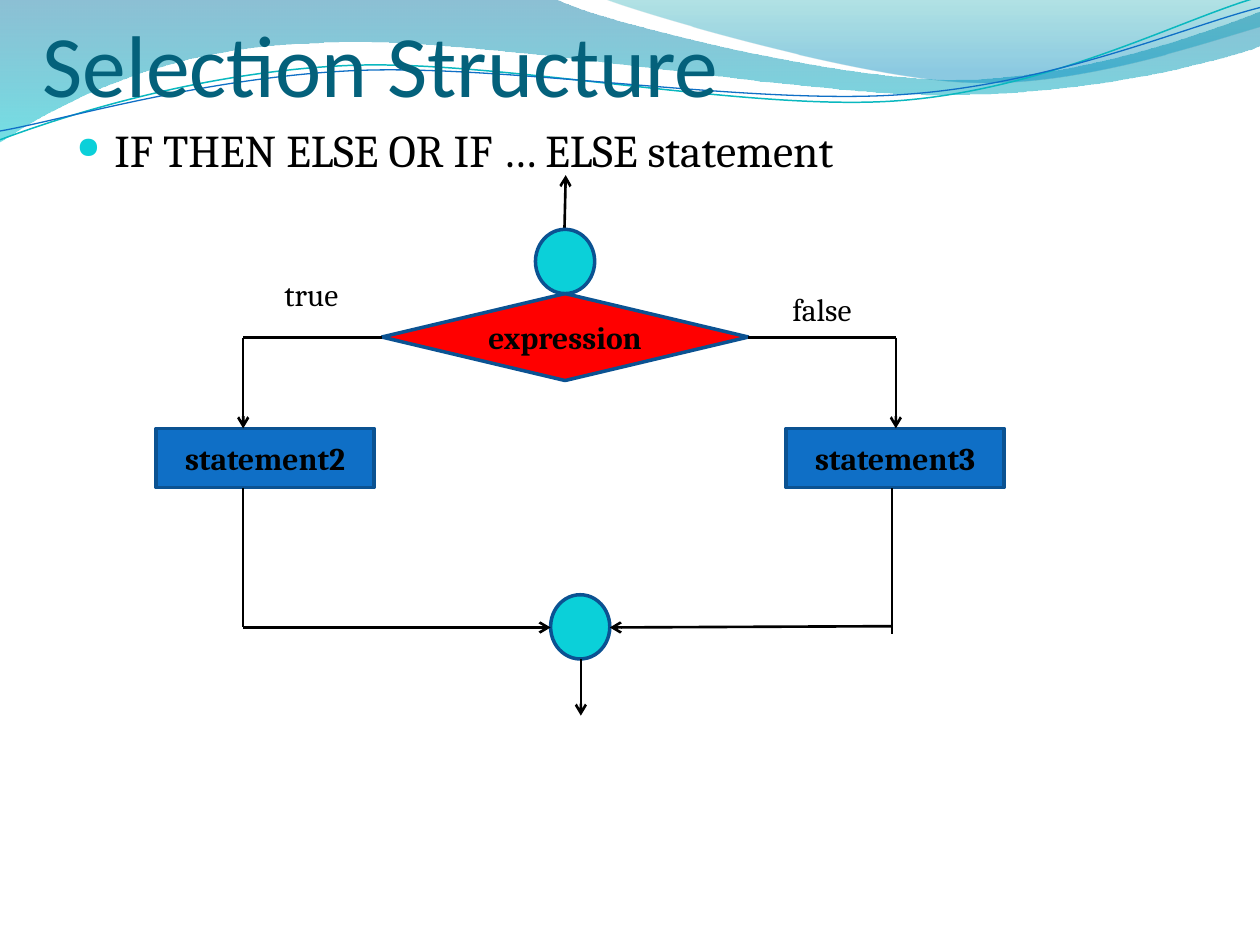
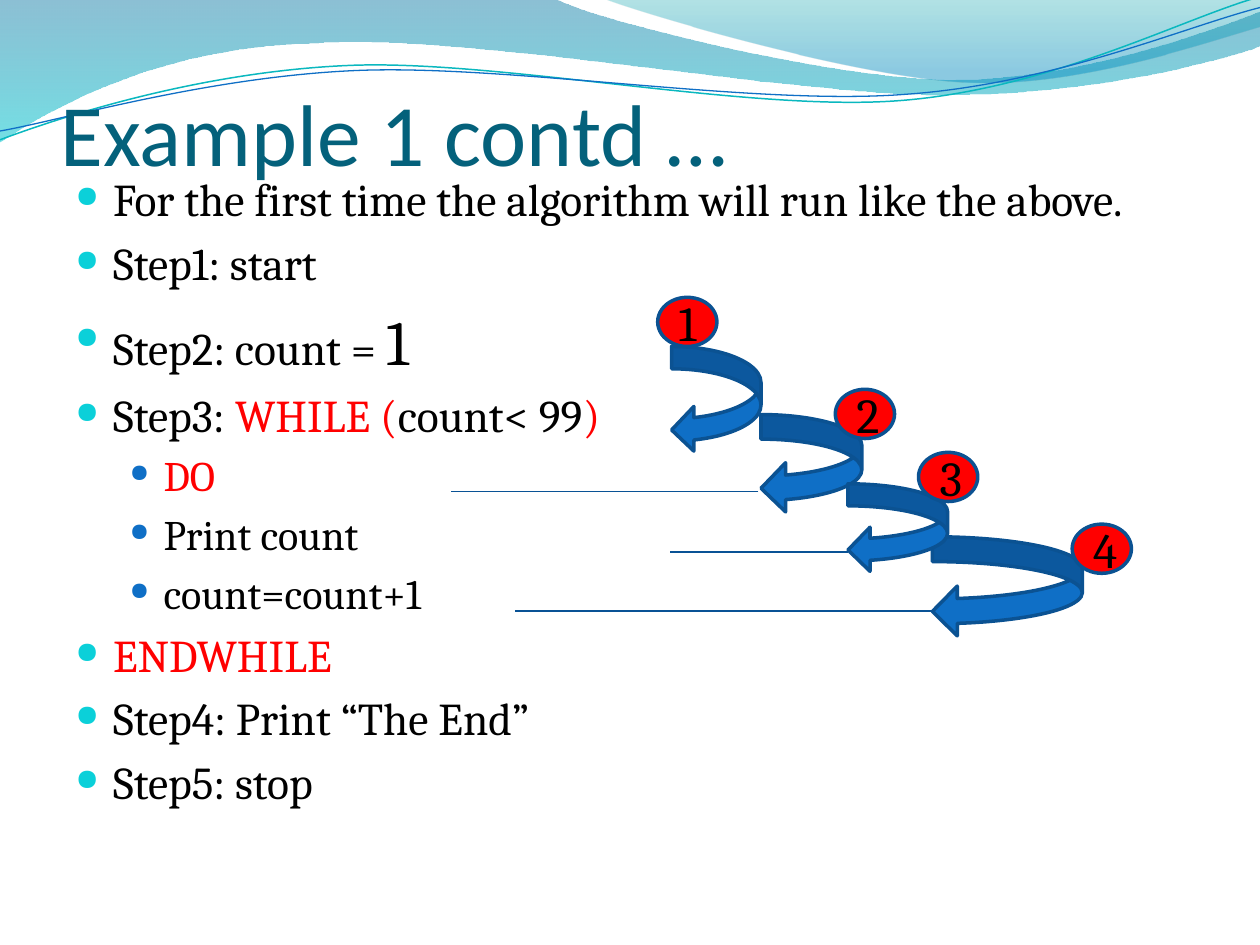
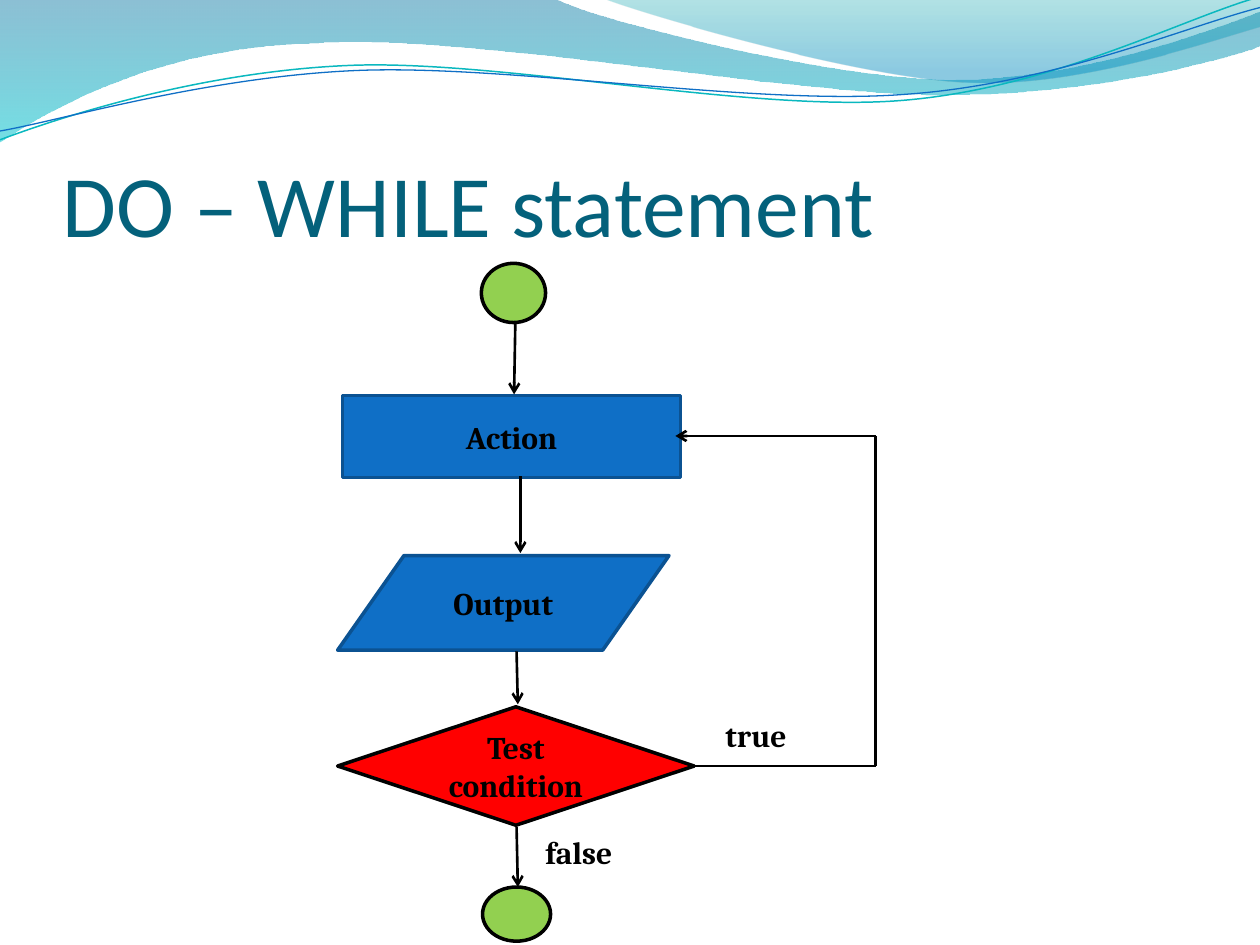
from dataclasses import dataclass

from lxml import etree
from pptx import Presentation
from pptx import util as u
from pptx.dml.color import RGBColor
from pptx.enum import shapes, text
from pptx.oxml.ns import qn

S = shapes.MSO_SHAPE
MIDDLE, BOTTOM = text.MSO_ANCHOR.MIDDLE, text.MSO_ANCHOR.BOTTOM


@dataclass(frozen=True)
class Theme:
    title_font: str = "Calibri"
    body_font: str = "Cambria"
    title: str = "04617B"
    ink: str = "000000"
    blue: str = "0F6FC6"
    edge: str = "0B5292"
    rule: str = "095295"
    cyan: str = "0BD0D9"
    red: str = "FF0000"
    green: str = "92D050"
    wave: str = "0AB8BF"
    title_size: int = 50
    body_size: int = 26
    sub_size: int = 24
    big_size: int = 36
    badge_size: int = 28
    label_size: int = 18
    shape_line: float = 2
    arrow_line: float = 1.5
    thin_line: float = 0.75


T = Theme()

# Each outline: start point, then line (2 numbers) or curve (6 numbers) steps.
# Bands carry gradient stops as (position, colour, opacity); strokes a colour and width.
BANDS = [
    ([(0, 0), (4.4, -0.01), (4.76, 0.17, 6.64, 0.63, 7.58, 0.63),
      (8.53, 0.63, 9.58, 0.26, 10, 0.09), (10.01, 0.36),
      (9.83, 0.44, 8.7, 0.76, 7.46, 0.75), (6.22, 0.75, 3.82, 0.28, 2.57, 0.34),
      (1.29, 0.36, 0.46, 0.83, -0.01, 1.13)],
     [(0, "0074A1", 45), (1, "00C6CF", 55)]),
    ([(4.79, -0.01), (5.09, 0.11, 6.82, 0.62, 7.69, 0.65),
      (8.56, 0.69, 9.61, 0.32, 10, 0.21), (10, 0)],
     [(0, "00A1A9", 30), (0.8, "008BBF", 45)]),
]
STROKES = [
    ([(0, 1.11), (0.48, 0.93, 1.58, 0.57, 2.77, 0.52), (3.95, 0.47, 5.93, 0.89, 7.13, 0.8),
      (8.33, 0.71, 9.38, 0.15, 9.98, -0.02)], T.wave, 0.85),
    ([(0, 1.04), (0.47, 0.96, 1.64, 0.61, 2.83, 0.56), (4.03, 0.51, 5.97, 0.84, 7.17, 0.75),
      (8.36, 0.67, 9.41, 0.21, 10, 0.06)], T.blue, 0.75),
]


# Formatting helpers
def put(obj, **values):
    for name, value in values.items():
        setattr(obj, name, value)


def rgb(color):
    return RGBColor.from_string(color)


def stroke(line, color, width):
    line.color.rgb = rgb(color)
    line.width = u.Pt(width)


def add_run(p, words, size, color=T.ink, font=T.body_font, bold=False):
    r = p.add_run()
    r.text = words
    put(r.font, size=u.Pt(size), name=font, bold=bold)
    r.font.color.rgb = rgb(color)


# Wave background
def freeform(slide, steps, close):
    """Lay every point as a line, then join each group of three into one curve."""
    first, *rest = [(u.Inches(x), u.Inches(y))
                    for step in steps for x, y in zip(step[::2], step[1::2])]
    builder = slide.shapes.build_freeform(*first)
    builder.add_line_segments(rest, close=close)
    sp = builder.convert_to_shape()
    sp.shadow.inherit = False
    lines = iter(list(sp.element.spPr.iter(qn("a:lnTo"))))
    for step in steps[1:]:
        segment = next(lines)
        if len(step) == 6:
            segment.tag = qn("a:cubicBezTo")
            for _ in range(2):
                extra = next(lines)
                segment.append(extra[0])
                extra.getparent().remove(extra)
    return sp


def add_waves(slide, layout):
    """Draw the waves and hand them to the layout, so every slide shows them."""
    waves = []
    for steps, stops in BANDS:
        sp = freeform(slide, steps, True)
        sp.line.fill.background()
        sp.fill.gradient()
        sp.fill.gradient_angle = 270
        for stop, (position, color, _) in zip(sp.fill.gradient_stops, stops):
            stop.position = position
            stop.color.rgb = rgb(color)
        for clr, (_, _, opacity) in zip(sp.element.spPr.iter(qn("a:srgbClr")), stops):
            etree.SubElement(clr, qn("a:alpha"), val=str(opacity * 1000))
        waves.append(sp)
    for steps, color, width in STROKES:
        sp = freeform(slide, steps, False)
        sp.fill.background()
        stroke(sp.line, color, width)
        waves.append(sp)
    for placeholder in list(layout.placeholders):
        layout.shapes.element.remove(placeholder.element)
    for sp in waves:
        layout.shapes.element.append(sp.element)


# Text elements
def add_text(slide, at, **frame):
    tf = slide.shapes.add_textbox(*map(u.Inches, at)).text_frame
    put(tf, **{"word_wrap": True, **frame})
    return tf


def add_title(slide, words, at):
    tf = add_text(slide, at, vertical_anchor=BOTTOM, margin_left=0, margin_right=0,
                  margin_top=u.Inches(0.05), margin_bottom=0)
    add_run(tf.paragraphs[0], words, T.title_size, T.title, T.title_font)


def add_label(slide, words, left, top, width, bold=False):
    tf = add_text(slide, (left, top, width, 0.4), word_wrap=False)
    add_run(tf.paragraphs[0], words, T.label_size, bold=bold)


def set_bullet(p, level):
    margin, indent, color, percent = ((0.3, -0.3, T.cyan, 66), (0.7, -0.27, T.blue, 59))[level]
    pPr = p._p.get_or_add_pPr()
    pPr.set("marL", str(u.Inches(margin)))
    pPr.set("indent", str(u.Inches(indent)))
    if level:
        pPr.set("lvl", str(level))
    before = etree.SubElement(pPr, qn("a:spcBef"))
    etree.SubElement(before, qn("a:spcPct"), val="20000")
    bullet_color = etree.SubElement(pPr, qn("a:buClr"))
    etree.SubElement(bullet_color, qn("a:srgbClr"), val=color)
    etree.SubElement(pPr, qn("a:buSzPct"), val=str(percent * 1000))
    etree.SubElement(pPr, qn("a:buChar"), char="●")


def add_bullets(slide, at, items):
    """Each item is (level, (words, colour, size), ...)."""
    tf = add_text(slide, at)
    for i, (level, *runs) in enumerate(items):
        p = tf.add_paragraph() if i else tf.paragraphs[0]
        set_bullet(p, level)
        for words, color, size in runs:
            add_run(p, words, size, color)


# Diagram elements
def add_node(slide, kind, at, fill, words="", edge=T.edge, size=T.label_size, bold=True):
    sp = slide.shapes.add_shape(kind, *map(u.Inches, at))
    sp.shadow.inherit = False
    sp.fill.solid()
    sp.fill.fore_color.rgb = rgb(fill)
    stroke(sp.line, edge, T.shape_line)
    if words:
        sp.text_frame.vertical_anchor = MIDDLE
        p = sp.text_frame.paragraphs[0]
        p.alignment = text.PP_ALIGN.CENTER
        add_run(p, words, size, bold=bold)


def add_line(slide, start, end, arrow=False, color=T.ink, width=T.arrow_line):
    c = slide.shapes.add_connector(shapes.MSO_CONNECTOR.STRAIGHT,
                                   *map(u.Inches, (*start, *end)))
    stroke(c.line, color, width)
    spPr = c.element.spPr
    if arrow:
        etree.SubElement(spPr.find(qn("a:ln")), qn("a:tailEnd"), type="arrow")
    etree.SubElement(spPr, qn("a:effectLst"))


def add_route(slide, *points):
    """Straight legs through the points, with an arrowhead on the last leg."""
    legs = list(zip(points, points[1:]))
    for i, (start, end) in enumerate(legs, 1):
        add_line(slide, start, end, arrow=i == len(legs))


# Slides
def selection_slide(slide):
    add_title(slide, "Selection Structure", (0.34, 0.02, 9, 0.89))
    add_bullets(slide, (0.51, 0.92, 9, 6.91),
                [(0, ("IF THEN ELSE OR IF … ELSE statement", T.ink, T.body_size))])
    add_node(slide, S.OVAL, (4.37, 4.72, 0.47, 0.51), T.cyan)
    add_route(slide, (4.61, 5.23), (4.61, 5.68))
    add_route(slide, (4.48, 1.82), (4.49, 1.39))
    add_node(slide, S.FLOWCHART_DECISION, (3.03, 2.33, 2.91, 0.69), T.red, "expression")
    for left, words in ((1.24, "statement2"), (6.24, "statement3")):
        add_node(slide, S.RECTANGLE, (left, 3.4, 1.73, 0.47), T.blue, words)
    add_label(slide, "true", 2.16, 2.13, 0.63)
    add_label(slide, "false", 6.19, 2.25, 0.68)
    add_route(slide, (3.03, 2.68), (1.93, 2.68), (1.93, 3.4))
    add_route(slide, (5.94, 2.68), (7.11, 2.68), (7.11, 3.4))
    add_route(slide, (1.93, 3.87), (1.93, 4.98), (4.37, 4.98))
    add_line(slide, (7.08, 5.03), (7.08, 3.87))
    add_route(slide, (7.08, 4.97), (4.84, 4.98))
    add_node(slide, S.OVAL, (4.25, 1.82, 0.47, 0.51), T.cyan)


def example_slide(slide):
    add_title(slide, "Example 1 contd …", (0.48, 0.44, 9, 1.02))
    body, sub = T.body_size, T.sub_size
    add_bullets(slide, (0.5, 1.31, 9, 5.61), [
        (0, ("For the first time the algorithm will run like the above.", T.ink, body)),
        (0, ("Step1: start", T.ink, body)),
        (0, ("Step2: count = ", T.ink, body), ("1", T.ink, T.big_size)),
        (0, ("Step3:", T.ink, body), (" WHILE (", T.red, body),
         ("count< 99", T.ink, body), (")", T.red, body)),
        (1, ("DO", T.red, sub)),
        (1, ("Print count", T.ink, sub)),
        (1, ("count=count+1", T.ink, sub)),
        (0, ("ENDWHILE", T.red, body)),
        (0, ("Step4: Print “The End”", T.ink, body)),
        (0, ("Step5: stop", T.ink, body)),
    ])
    for at in ((5.33, 2.75, 0.71, 0.84), (6.04, 3.29, 0.8, 0.78),
               (7.4, 4.26, 1.19, 0.79), (6.73, 3.84, 0.79, 0.7)):
        add_node(slide, S.CURVED_LEFT_ARROW, at, T.blue)
    for right, left, y in ((6.02, 3.58, 3.9), (6.73, 5.32, 4.38), (7.4, 4.09, 4.85)):
        add_line(slide, (right, y), (left, y), color=T.rule, width=T.thin_line)
    badges = ((5.22, 2.36), (6.63, 3.09), (7.29, 3.59), (8.51, 4.16))
    for number, (left, top) in enumerate(badges, 1):
        add_node(slide, S.FLOWCHART_CONNECTOR, (left, top, 0.47, 0.39), T.red,
                 str(number), size=T.badge_size, bold=False)


def do_while_slide(slide):
    add_title(slide, "DO – WHILE statement", (0.5, 0.77, 9, 1.25))
    add_node(slide, S.OVAL, (3.82, 2.09, 0.51, 0.47), T.green, edge=T.ink)
    add_node(slide, S.RECTANGLE, (2.72, 3.14, 2.68, 0.65), T.blue, "Action")
    add_node(slide, S.FLOWCHART_DECISION, (2.68, 5.61, 2.83, 0.94), T.red,
             "Test condition", edge=T.ink)
    add_node(slide, S.OVAL, (3.83, 7.04, 0.54, 0.43), T.green, edge=T.ink)
    add_label(slide, "true", 5.66, 5.63, 0.7, bold=True)
    add_label(slide, "false", 4.23, 6.56, 0.76, bold=True)
    add_node(slide, S.FLOWCHART_DATA, (2.68, 4.41, 2.63, 0.75), T.blue, "Output")
    for start, end in (((4.09, 2.57), (4.08, 3.13)), ((4.13, 3.78), (4.13, 4.39)),
                       ((4.1, 5.17), (4.11, 5.59)), ((4.1, 6.56), (4.11, 7.04))):
        add_route(slide, start, end)
    add_route(slide, (5.52, 6.08), (6.95, 6.08), (6.95, 3.46), (5.36, 3.46))


def main():
    prs = Presentation()
    put(prs, slide_width=u.Inches(10), slide_height=u.Inches(7.5))
    blank = prs.slide_layouts[6]
    for i, build in enumerate((selection_slide, example_slide, do_while_slide)):
        slide = prs.slides.add_slide(blank)
        if i == 0:
            add_waves(slide, blank)
        build(slide)
    prs.save("out.pptx")


if __name__ == "__main__":
    main()
